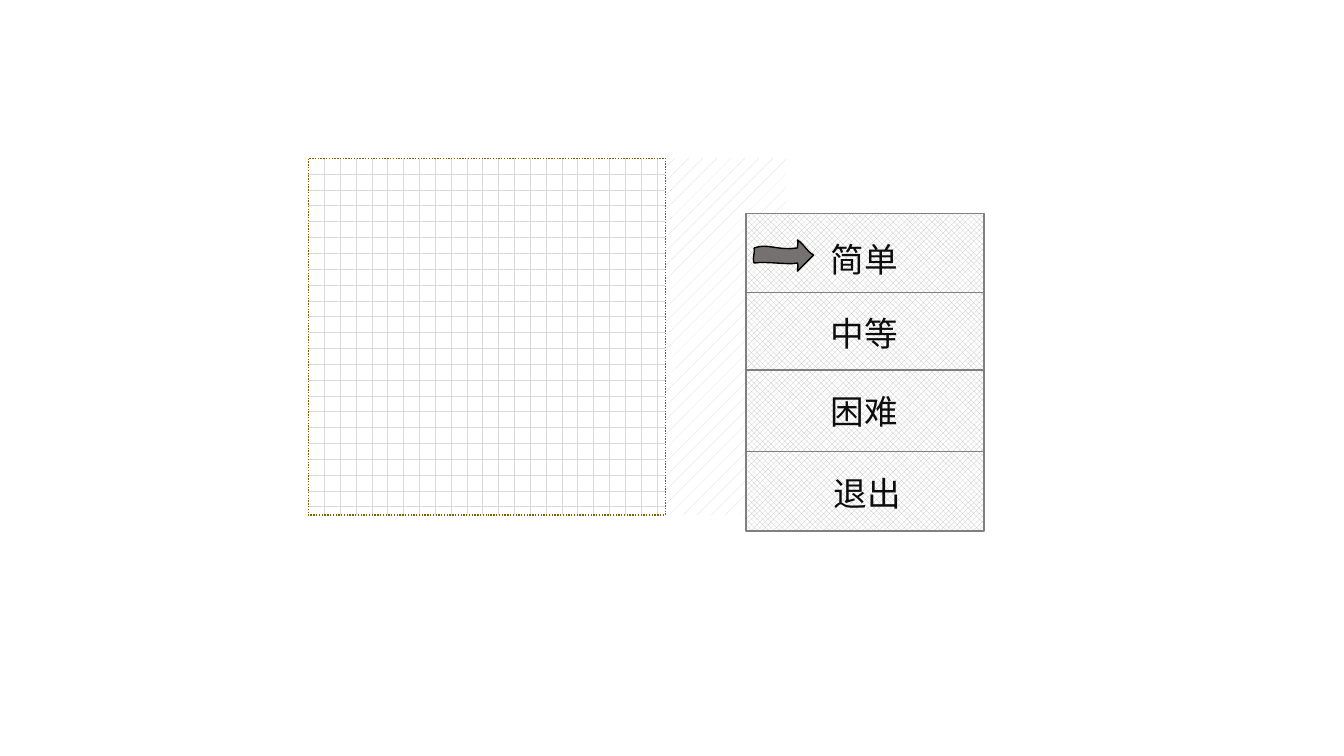
"""Builds a game board slide with a four-item difficulty menu."""
from lxml.etree import SubElement
from pptx import Presentation
from pptx.dml.color import RGBColor
from pptx.enum.dml import MSO_LINE, MSO_PATTERN as Pattern
from pptx.enum.shapes import MSO_CONNECTOR, MSO_SHAPE
from pptx.enum.text import MSO_ANCHOR, PP_ALIGN
from pptx.oxml.ns import qn
from pptx.util import Inches, Pt

FONT = "Noto Sans CJK SC"
BOARD_TOP, BOARD_SIZE = 1.57, 3.54
MENU_LEFT, MENU_TOP, MENU_WIDTH, MENU_HEIGHT = 7.4, 2.12, 2.36, 3.15
LABEL_WIDTH, LABEL_HEIGHT = 1.61, 0.59
CURVE_STEPS = 8


def color(hex_code):
    return RGBColor.from_string(hex_code)


def add_panel(group, box, pattern, foreground, outline=None):
    panel = group.shapes.add_shape(MSO_SHAPE.RECTANGLE, *map(Inches, box))
    panel.shadow.inherit = False
    panel.fill.patterned()
    panel.fill.pattern = pattern
    panel.fill.fore_color.rgb = color(foreground)
    panel.fill.back_color.rgb = color("FFFFFF")
    if outline:
        panel.line.color.rgb = color(outline)
        panel.line.width = Pt(1)
    else:
        panel.line.fill.background()
    return panel


presentation = Presentation()
presentation.slide_width, presentation.slide_height = Inches(13.33), Inches(7.5)
slide = presentation.slides.add_slide(presentation.slide_layouts[6])

board_group = slide.shapes.add_group_shape()
add_panel(board_group, (5.58, BOARD_TOP, 2.22, BOARD_SIZE), Pattern.PERCENT_5, "D9D9D9")
board = add_panel(board_group, (3.06, BOARD_TOP, BOARD_SIZE, BOARD_SIZE),
                  Pattern.DOTTED_GRID, "D9D9D9", "806000")
board.line.dash_style = MSO_LINE.ROUND_DOT

menu_group = slide.shapes.add_group_shape()
add_panel(menu_group, (MENU_LEFT, MENU_TOP, MENU_WIDTH, MENU_HEIGHT),
          Pattern.LARGE_CHECKER_BOARD, "BFBFBF", "808080")

for divider_top in (2.9, 3.67, 4.48):
    divider = menu_group.shapes.add_connector(
        MSO_CONNECTOR.STRAIGHT, Inches(MENU_LEFT), Inches(divider_top),
        Inches(MENU_LEFT + MENU_WIDTH), Inches(divider_top))
    divider.line.color.rgb = color("7F7F7F")
    divider.line.width = Pt(1)
    SubElement(divider.element.spPr, qn("a:effectLst"))

menu_items = [("简单", 7.77, 2.27), ("中等", 7.77, 3.01),
              ("困难", 7.77, 3.78), ("退出", 7.8, 4.6)]
for wording, left, top in menu_items:
    label = menu_group.shapes.add_textbox(
        *map(Inches, (left, top, LABEL_WIDTH, LABEL_HEIGHT)))
    label.text_frame.word_wrap = True
    label.text_frame.vertical_anchor = MSO_ANCHOR.MIDDLE
    paragraph = label.text_frame.paragraphs[0]
    paragraph.alignment = PP_ALIGN.CENTER
    run = paragraph.add_run()
    run.text = wording
    for name, value in {"name": FONT, "size": Pt(24)}.items():
        setattr(run.font, name, value)
    run.font.color.rgb = color("0D0D0D")
    SubElement(run.font._element, qn("a:ea"), typeface=FONT)

arrow_start = (7.48, 2.46)
arrow_curves = [
    ((7.62, 2.41), (7.71, 2.49), (7.91, 2.46)),
    ((7.91, 2.44), (7.92, 2.41), (7.91, 2.38)),
    ((7.98, 2.43), (8.01, 2.5), (8.07, 2.53)),
    ((8, 2.6), (7.99, 2.61), (7.91, 2.69)),
    ((7.91, 2.67), (7.92, 2.63), (7.91, 2.61)),
    ((7.82, 2.63), (7.59, 2.59), (7.48, 2.61)),
    ((7.46, 2.55), (7.49, 2.52), arrow_start),
]
outline_points = []
curve_start = arrow_start
for first_control, second_control, curve_end in arrow_curves:
    for step in range(1, CURVE_STEPS + 1):
        t = step / CURVE_STEPS
        weights = ((1 - t) ** 3, 3 * t * (1 - t) ** 2, 3 * t ** 2 * (1 - t), t ** 3)
        corners = (curve_start, first_control, second_control, curve_end)
        outline_points.append(tuple(
            Inches(sum(weight * corner[axis] for weight, corner in zip(weights, corners)))
            for axis in (0, 1)))
    curve_start = curve_end

builder = menu_group.shapes.build_freeform(*map(Inches, arrow_start))
builder.add_line_segments(outline_points, close=True)
arrow = builder.convert_to_shape()
arrow.shadow.inherit = False
arrow.fill.solid()
arrow.fill.fore_color.rgb = color("767171")
arrow.line.color.rgb = color("000000")
arrow.line.width = Pt(1)

presentation.save("out.pptx")
